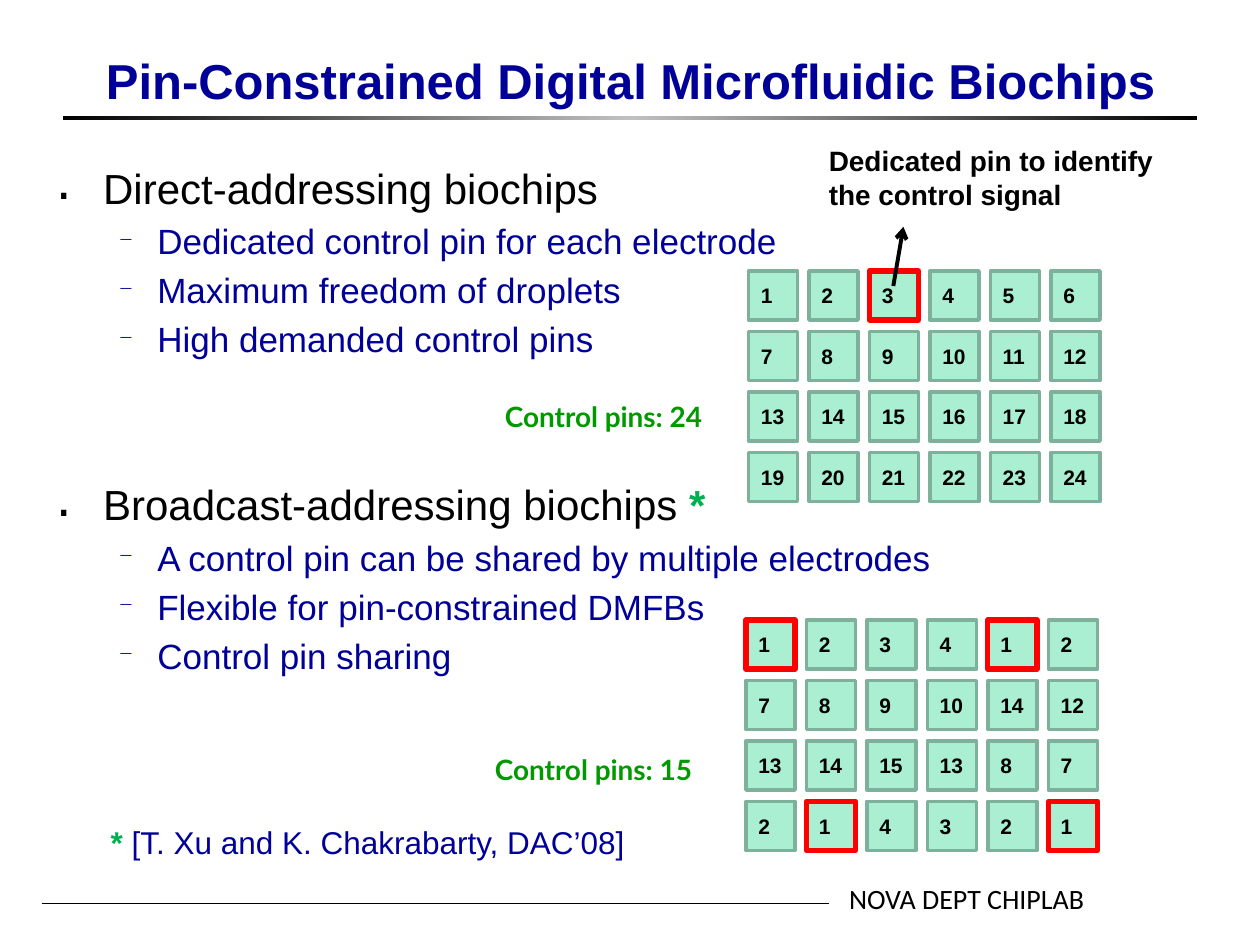
import copy
import pptx
import pptx.util
import pptx.dml.color
import pptx.enum.shapes
import pptx.enum.text
import pptx.oxml
import pptx.oxml.ns

Inches, Pt = pptx.util.Inches, pptx.util.Pt
RGBColor = pptx.dml.color.RGBColor
SHAPE = pptx.enum.shapes.MSO_SHAPE
ANCHOR = pptx.enum.text.MSO_ANCHOR
ALIGN = pptx.enum.text.PP_ALIGN
qn = pptx.oxml.ns.qn

BLACK = RGBColor(0x00, 0x00, 0x00)
SILVER = RGBColor(0xC0, 0xC0, 0xC0)
NAVY = RGBColor(0x00, 0x00, 0x99)
GREEN = RGBColor(0x00, 0x99, 0x00)
STAR = RGBColor(0x00, 0xB0, 0x50)
MINT = RGBColor(0xAA, 0xEF, 0xD1)
SAGE = RGBColor(0x7E, 0xB1, 0x9B)
RED = RGBColor(0xFF, 0x00, 0x00)

# Content: a run is (text, colour, bold)
TITLE = "Pin-Constrained Digital Microfluidic Biochips"
TOPICS = [  # space before the heading, heading runs, points
    (3, [("Direct-addressing biochips", BLACK, False)],
     ["Dedicated control pin for each electrode",
      "Maximum freedom of droplets",
      "High demanded control pins"]),
    (68, [("Broadcast-addressing biochips ", BLACK, False), ("*", STAR, True)],
     ["A control pin can be shared by multiple electrodes",
      "Flexible for pin-constrained DMFBs",
      "Control pin sharing"]),
]
LABELS = [  # box, size, font, runs
    ((6.64, 6.95, 2.19, 0.37), 16, "Calibri", [("NOVA DEPT CHIPLAB", BLACK, False)]),
    ((3.91, 3.12, 2.03, 0.37), 16, "Lato", [("Control pins: 24", GREEN, True)]),
    ((3.83, 5.92, 2.03, 0.37), 16, "Lato", [("Control pins: 15", GREEN, True)]),
    ((6.48, 1.09, 3.13, 0.64), 16, "Arial",
     [("Dedicated pin to identify the control signal", BLACK, True)]),
    ((0.78, 6.48, 5, 0.4), 18, "Arial",
     [("* ", STAR, True), ("[T. Xu and K. Chakrabarty, DAC’08]", NAVY, False)]),
]
CHIPS = [  # left, top, pin numbers by row, marked (row, column)
    (5.94, 2.15, [range(1, 7), range(7, 13), range(13, 19), range(19, 25)],
     [(0, 2)]),
    (5.92, 4.92, [(1, 2, 3, 4, 1, 2), (7, 8, 9, 10, 14, 12),
                  (13, 14, 15, 13, 8, 7), (2, 1, 4, 3, 2, 1)],
     [(0, 0), (0, 4), (3, 1), (3, 5)]),
]
CELL, PITCH = 0.39, 0.48

deck = pptx.Presentation()
deck.slide_width, deck.slide_height = Inches(10), Inches(7.5)
slide = deck.slides.add_slide(deck.slide_layouts[6])
shapes = slide.shapes


def write(para, runs, size, font="Arial"):
    for text, color, bold in runs:
        run = para.add_run()
        run.text = text
        run.font.size, run.font.name, run.font.bold = Pt(size), font, bold
        run.font.color.rgb = color


def add_box(box):
    frame = shapes.add_textbox(*map(Inches, box)).text_frame
    frame.word_wrap = True
    return frame


def bullet(para, mark, color, scale, left, hang):
    props = para._p.get_or_add_pPr()
    props.set("marL", str(Inches(left)))
    props.set("indent", str(-Inches(hang)))
    tint = props.makeelement(qn("a:buClr"), {})
    tint.append(tint.makeelement(qn("a:srgbClr"), {"val": str(color)}))
    props.append(tint)
    for tag, key, value in (("buSzPct", "val", str(scale * 1000)),
                            ("buChar", "char", mark)):
        props.append(props.makeelement(qn("a:" + tag), {key: value}))


def add_cell(parent, left, top, line, width, fill=None):
    cell = parent.add_shape(SHAPE.RECTANGLE, *map(Inches, (left, top, CELL, CELL)))
    cell.shadow.inherit = False
    if fill is None:
        cell.fill.background()
    else:
        cell.fill.solid()
        cell.fill.fore_color.rgb = fill
    cell.line.color.rgb, cell.line.width = line, Pt(width)
    return cell


def add_line(start, end, width):
    line = shapes.add_connector(pptx.enum.shapes.MSO_CONNECTOR.STRAIGHT,
                                *map(Inches, start + end))
    line.line.color.rgb, line.line.width = BLACK, Pt(width)
    props = line._element.spPr
    props.append(props.makeelement(qn("a:effectLst"), {}))
    return line


# Rule under the title: black, silver, black
rule = shapes.add_shape(SHAPE.RECTANGLE, *map(Inches, (0.5, 0.92, 9, 0.03)))
rule.shadow.inherit = False
rule.line.fill.background()
rule.fill.gradient()
rule.fill.gradient_angle = 0
first, last = rule.fill.gradient_stops
first.color.rgb, first.position = SILVER, 0.5
last.color.rgb, last.position = BLACK, 1
stops = rule._element.spPr.find(qn("a:gradFill")).find(qn("a:gsLst"))
stops.insert(0, copy.deepcopy(stops[1]))
stops[0].set("pos", "0")

# Footer line and title
add_line((0.33, 7.17), (6.58, 7.17), 0.5)
head = add_box((0.55, 0, 8.91, 0.92))
head.vertical_anchor = ANCHOR.BOTTOM
head.paragraphs[0].alignment = ALIGN.CENTER
write(head.paragraphs[0], [(TITLE, NAVY, True)], 28)

# Topics and their points
body = add_box((0.34, 1.24, 9.08, 5.81))
para = body.paragraphs[0]
for gap, runs, points in TOPICS:
    if para is None:
        para = body.add_paragraph()
    para.space_before = Pt(gap)
    bullet(para, "․", BLACK, 120, 0.38, 0.38)
    write(para, runs, 24)
    for point in points:
        para = body.add_paragraph()
        para.level = 1
        para.space_before = Pt(4)
        bullet(para, "─", NAVY, 55, 0.81, 0.31)
        write(para, [(point, NAVY, False)], 20)
    para = None

# Electrode grids
for left, top, rows, marks in CHIPS:
    group = shapes.add_group_shape()
    for r, row in enumerate(rows):
        for c, pin in enumerate(row):
            cell = add_cell(group.shapes, left + c * PITCH, top + r * PITCH,
                            SAGE, 2, MINT)
            frame = cell.text_frame
            frame.vertical_anchor = ANCHOR.MIDDLE
            frame.paragraphs[0].alignment = ALIGN.LEFT
            write(frame.paragraphs[0], [(str(pin), BLACK, True)], 12)
    for r, c in marks:
        add_cell(shapes, left + c * PITCH, top + r * PITCH, RED, 3)

# Labels
for box, size, font, runs in LABELS:
    write(add_box(box).paragraphs[0], runs, size, font)

# Arrow from the dedicated pin to its label
arrow = add_line((7.09, 2.27), (7.17, 1.8), 2.25)
edge = arrow.line._get_or_add_ln()
edge.append(edge.makeelement(qn("a:tailEnd"), {"type": "arrow"}))

deck.save("out.pptx")
